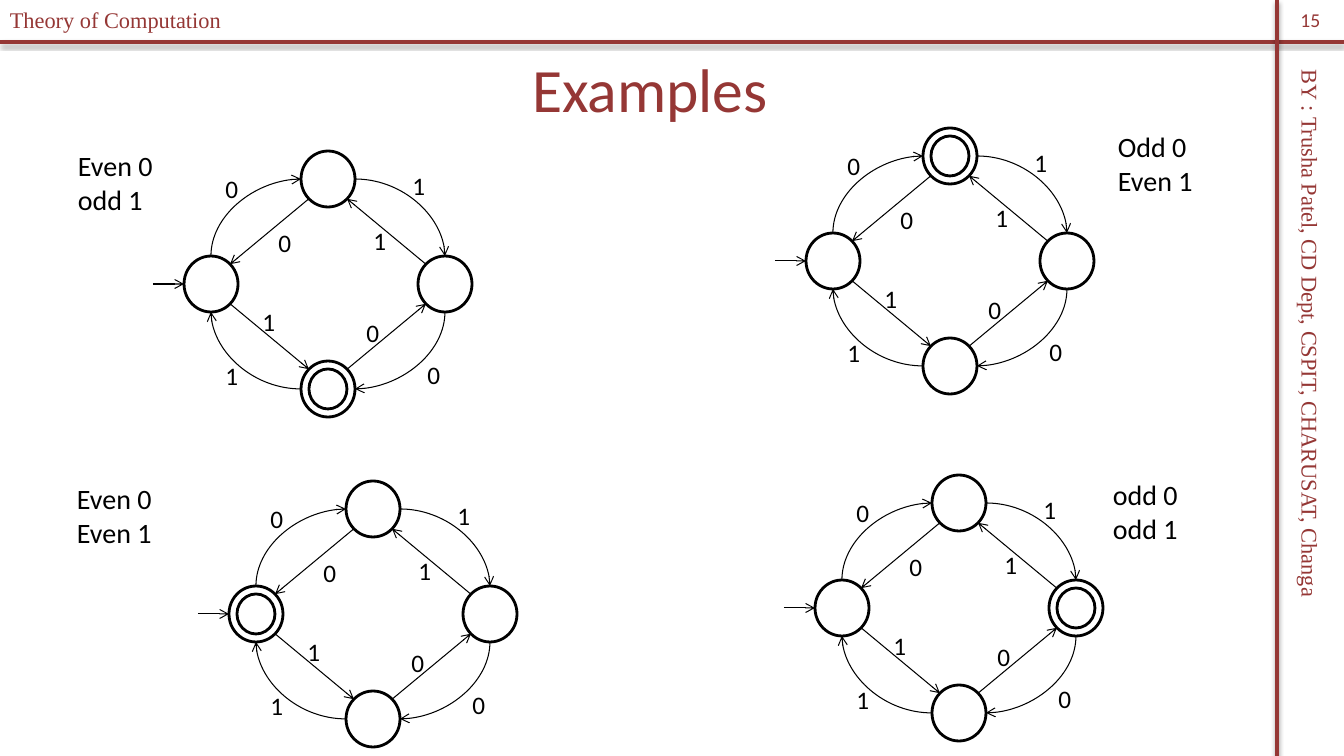
"""Build the slide of four parity automata with its course header and side line."""
import math

import lxml.etree
import pptx
import pptx.dml.color
import pptx.enum.shapes
import pptx.enum.text
import pptx.oxml
import pptx.oxml.ns
import pptx.util

RED = pptx.dml.color.RGBColor(0x95, 0x37, 0x35)
BLACK = pptx.dml.color.RGBColor(0, 0, 0)
WHITE = pptx.dml.color.RGBColor(255, 255, 255)

TITLE = "Examples"
COURSE = "Theory of Computation"
AUTHOR = "BY : Trusha Patel, CD Dept, CSPIT, CHARUSAT, Changa"
PAGE_NUMBER = "15"
AUTOMATA = [
    {"center": (328, 284), "accept": "bottom", "caption": ["Even 0", "odd 1"], "caption_at": (68, 144)},
    {"center": (950, 261), "accept": "top", "caption": ["Odd 0", "Even 1"], "caption_at": (1108, 125)},
    {"center": (373, 614), "accept": "left", "caption": ["Even 0", "Even 1"], "caption_at": (67, 477)},
    {"center": (959, 608), "accept": "right", "caption": ["odd 0", "odd 1"], "caption_at": (1103, 473)},
]
STATES = {"left": (-117, 0), "right": (117, 0), "top": (0, -105), "bottom": (0, 105)}
CURVES = [("left", "top"), ("top", "right"), ("right", "bottom"), ("bottom", "left")]
STRAIGHTS = [("top", "left"), ("left", "bottom"), ("bottom", "right"), ("right", "top")]
LABELS = [
    ("0", -96, -96), ("1", -59, 37), ("0", -43, -42), ("0", 45, 48),
    ("0", 106, 90), ("1", -96, 91), ("1", 91, -99), ("1", 52, -44),
]
STATE_SIZE = (54, 56)
INNER_SIZE = (38, 40)
LABEL_SIZE = (33, 40)
CAPTION_SIZE = (96, 78)
START_LENGTH = 31
EMU_PER_PX = 914400 / 100.8


def px(length):
    """Turn pixels into EMU."""
    return pptx.util.Emu(round(length * EMU_PER_PX))


def write(frame, lines, size, color=BLACK, font="Calibri", align=None):
    """Fill a text frame with one paragraph per line."""
    frame.text = "\n".join(lines)
    for para in frame.paragraphs:
        para.alignment = align
        for span in para.runs:
            span.font.size = pptx.util.Pt(size)
            span.font.name = font
            span.font.color.rgb = color


def add_text(shapes, lines, area, size, wrap=False, anchor=None, **style):
    """Add a text box and return it."""
    box = shapes.add_textbox(*map(px, area))
    frame = box.text_frame
    frame.word_wrap = wrap
    if not wrap:
        frame.auto_size = pptx.enum.text.MSO_AUTO_SIZE.SHAPE_TO_FIT_TEXT
    frame.vertical_anchor = anchor
    write(frame, lines, size, **style)
    return box


def add_line(shapes, start, end, color=BLACK, width=0.75, curved=False, arrow=None, shadow=False):
    """Add a connector; arrow names the end that has the head."""
    kinds = pptx.enum.shapes.MSO_CONNECTOR
    kind = kinds.CURVE if curved else kinds.STRAIGHT
    line = shapes.add_connector(kind, *map(px, (*start, *end)))
    line.line.color.rgb = color
    line.line.width = pptx.util.Pt(width)
    properties = line._element.spPr
    qn = pptx.oxml.ns.qn
    if curved:
        properties.find(qn("a:prstGeom")).set("prst", "curvedConnector2")
    if arrow:
        lxml.etree.SubElement(properties.find(qn("a:ln")), qn("a:" + arrow), type="arrow")
    effects = lxml.etree.SubElement(properties, qn("a:effectLst"))
    if shadow:
        outer = lxml.etree.SubElement(
            effects, qn("a:outerShdw"), blurRad="39370", dist="22860", dir="5400000", rotWithShape="0")
        tint = lxml.etree.SubElement(outer, qn("a:srgbClr"), val="000000")
        lxml.etree.SubElement(tint, qn("a:alpha"), val="35000")


def add_circle(shapes, center, size):
    """Add a state outline around its center."""
    area = (center[0] - size[0] / 2, center[1] - size[1] / 2, *size)
    circle = shapes.add_shape(pptx.enum.shapes.MSO_SHAPE.OVAL, *map(px, area))
    circle.shadow.inherit = False
    circle.fill.solid()
    circle.fill.fore_color.rgb = WHITE
    circle.line.color.rgb = BLACK
    circle.line.width = pptx.util.Pt(2)


def rim(center, toward, diagonal):
    """Find the rim point of a state that faces another state."""
    reach = math.sqrt(0.5) if diagonal else 1
    return tuple(
        middle + math.copysign(extent / 2 * reach, goal - middle)
        for middle, goal, extent in zip(center, toward, STATE_SIZE))


def add_automaton(page, center, accept, caption, caption_at):
    """Add one automaton as a group."""
    shapes = page.shapes.add_group_shape().shapes
    states = {name: (center[0] + dx, center[1] + dy) for name, (dx, dy) in STATES.items()}
    for state in states.values():
        add_circle(shapes, state, STATE_SIZE)
    add_circle(shapes, states[accept], INNER_SIZE)
    for source, target in CURVES:
        from_pole = source in ("top", "bottom")
        pole, side = (source, target) if from_pole else (target, source)
        start = (rim(states[pole], states[side], False)[0], states[pole][1])
        end = (states[side][0], rim(states[side], states[pole], False)[1])
        add_line(shapes, start, end, curved=True, arrow="tailEnd" if from_pole else "headEnd")
    for source, target in STRAIGHTS:
        start = rim(states[source], states[target], True)
        end = rim(states[target], states[source], True)
        add_line(shapes, start, end, arrow="tailEnd")
    entry = states["left"][0] - STATE_SIZE[0] / 2
    add_line(shapes, (entry - START_LENGTH, center[1]), (entry, center[1]), arrow="tailEnd")
    for symbol, dx, dy in LABELS:
        left = center[0] + dx - LABEL_SIZE[0] / 2
        top = center[1] + dy - LABEL_SIZE[1] / 2
        add_text(shapes, [symbol], (left, top, *LABEL_SIZE), 18)
    add_text(shapes, caption, (*caption_at, *CAPTION_SIZE), 20)


def main():
    """Build and save the deck."""
    middle = pptx.enum.text.MSO_ANCHOR.MIDDLE
    centered = pptx.enum.text.PP_ALIGN.CENTER
    deck = pptx.Presentation()
    deck.slide_width, deck.slide_height = px(1344), px(756)
    page = deck.slides.add_slide(deck.slide_layouts[5])
    title = page.shapes.title
    title.left, title.top, title.width, title.height = map(px, (184, 25, 932, 126))
    title.text_frame.vertical_anchor = middle
    write(title.text_frame, [TITLE], 44, color=RED, align=centered)
    add_line(page.shapes, (0, 42), (1344, 42), color=RED, width=3, shadow=True)
    add_line(page.shapes, (1277, 0), (1277, 756), color=RED, width=3, shadow=True)
    author = add_text(page.shapes, [AUTHOR], (987, 365, 647, 37), 16, color=RED, font="Times New Roman")
    author.rotation = 90
    add_text(page.shapes, [COURSE], (0, 1, 332, 37), 16, color=RED, font="Times New Roman")
    add_text(page.shapes, [PAGE_NUMBER], (1277, 0, 67, 40), 14,
             wrap=True, anchor=middle, color=RED, align=centered)
    for automaton in AUTOMATA:
        add_automaton(page, **automaton)
    deck.save("out.pptx")


if __name__ == "__main__":
    main()
